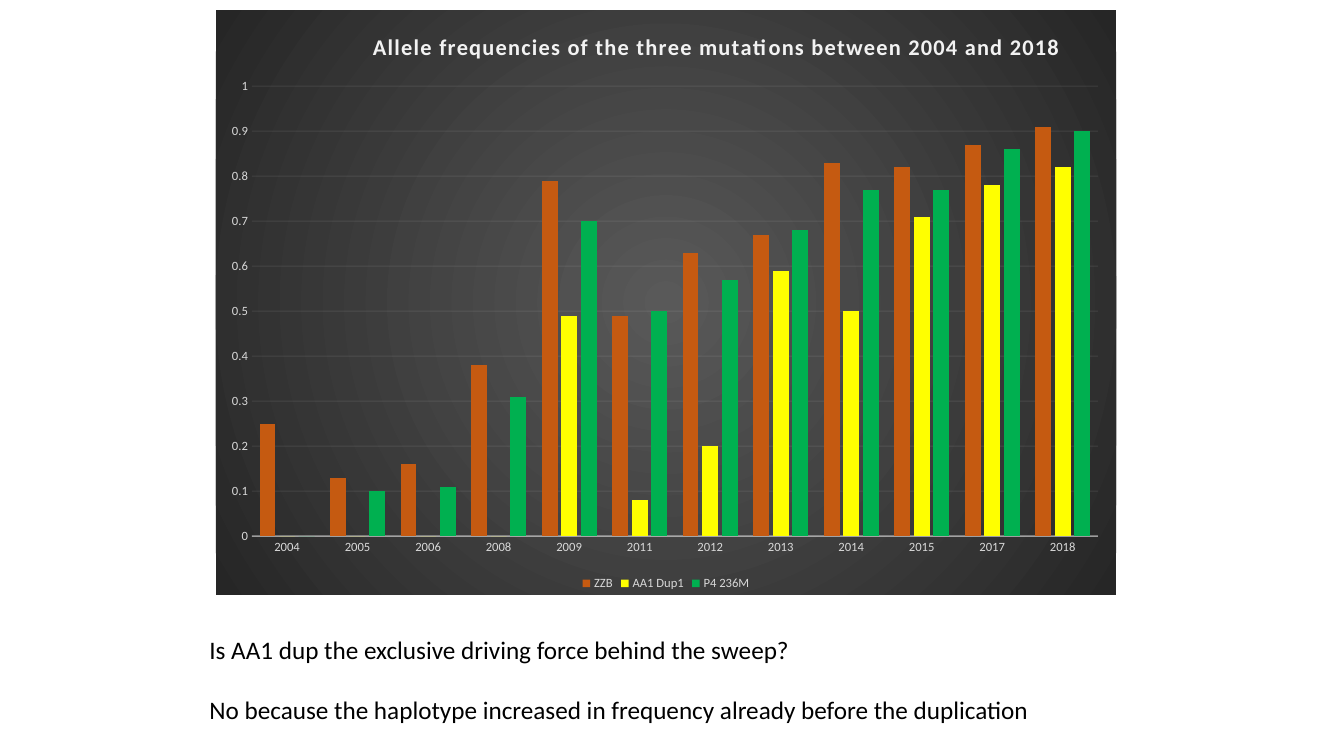
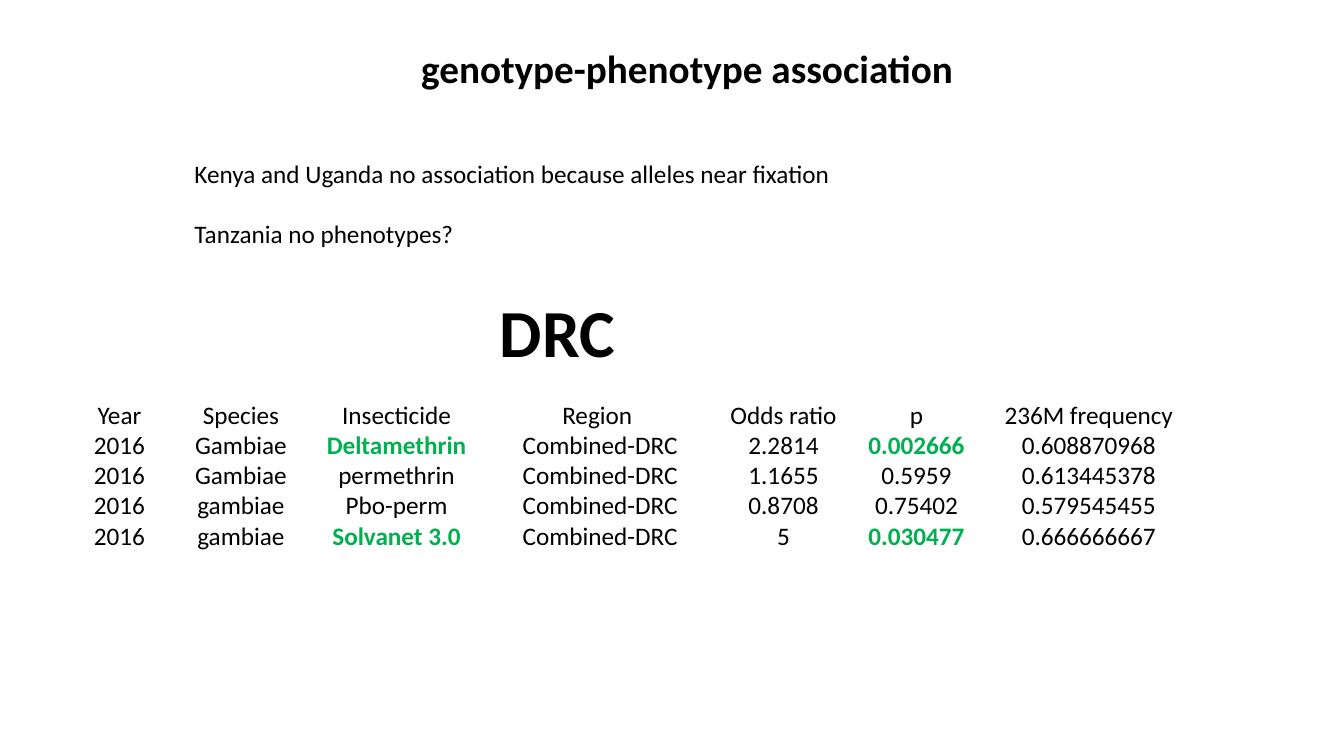
import dataclasses
import pptx
import pptx.chart.data
import pptx.dml.color
import pptx.enum.chart
import pptx.enum.text
import pptx.oxml
import pptx.oxml.ns
import pptx.util
import lxml.etree

Pt = pptx.util.Pt
qn = pptx.oxml.ns.qn

# Shared style
FONT = "Calibri"
HEX = {
    "ink": "000000", "pale": "F2F2F2", "label": "D9D9D9",
    "mid": "595959", "dark": "262626",
    "rust": "C55A11", "yellow": "FFFF00", "green": "00B050",
}
NS = pptx.oxml.ns.nsdecls("a", "c")


@dataclasses.dataclass
class Note:
    """A text box; its paragraphs stand one blank line apart."""
    left: float
    top: float
    width: float
    height: float
    lines: list[str]
    size: float = 18
    bold: bool = False


@dataclasses.dataclass
class Series:
    name: str
    color: str
    vals: list[float]


# Content
YEARS = ["2004", "2005", "2006", "2008", "2009", "2011",
         "2012", "2013", "2014", "2015", "2017", "2018"]
SERIES = [
    Series("ZZB", "rust", [0.25, 0.13, 0.16, 0.38, 0.79, 0.49,
                           0.63, 0.67, 0.83, 0.82, 0.87, 0.91]),
    Series("AA1 Dup1", "yellow", [0, 0, 0, 0, 0.49, 0.08,
                                  0.2, 0.59, 0.5, 0.71, 0.78, 0.82]),
    Series("P4 236M", "green", [0, 0.1, 0.11, 0.31, 0.7, 0.5,
                                0.57, 0.68, 0.77, 0.77, 0.86, 0.9]),
]
TITLE = "Allele frequencies of the three mutations between 2004 and 2018"
SWEEP = Note(142.5, 449.3, 654.5, 72.7, [
    "Is AA1 dup the exclusive driving force behind the sweep?",
    "No because the haplotype increased in frequency already before the duplication",
])
NOTES = [
    Note(293.8, 28, 437, 41, ["genotype-phenotype association"], 28, True),
    Note(131.8, 109.4, 752.4, 72.7, [
        "Kenya and Uganda no association because alleles near fixation",
        "Tanzania no phenotypes?",
    ]),
    Note(349.9, 203.8, 237.6, 65.5, ["DRC"], 48, True),
]
WIDTHS = [78.5, 95, 127.4, 163.4, 98.6, 91.4, 154.8]
ROWS = [
    ["Year", "Species", "Insecticide", "Region ", "Odds ratio", "p", "236M frequency"],
    ["2016", "Gambiae", "Deltamethrin", "Combined-DRC", "2.2814", "0.002666", "0.608870968"],
    ["2016", "Gambiae", "permethrin", "Combined-DRC", "1.1655", "0.5959", "0.613445378"],
    ["2016", "gambiae", "Pbo-perm", "Combined-DRC", "0.8708", "0.75402", "0.579545455"],
    ["2016", "gambiae", "Solvanet 3.0", "Combined-DRC", "5", "0.030477", "0.666666667"],
]
HITS = {(row, col) for row in (1, 4) for col in (2, 5)}


def rgb(name: str) -> pptx.dml.color.RGBColor:
    return pptx.dml.color.RGBColor.from_string(HEX[name])


def style(font, size: float, color: str = "ink", bold: bool = False) -> None:
    font.name, font.size, font.bold = FONT, Pt(size), bold
    font.color.rgb = rgb(color)


def add_run(para, text: str, size: float, color: str = "ink", bold: bool = False):
    run = para.add_run()
    run.text = text
    style(run.font, size, color, bold)
    return run


def add_note(slide, note: Note) -> None:
    box = slide.shapes.add_textbox(
        Pt(note.left), Pt(note.top), Pt(note.width), Pt(note.height))
    frame = box.text_frame
    frame.word_wrap = True
    frame.auto_size = pptx.enum.text.MSO_AUTO_SIZE.SHAPE_TO_FIT_TEXT
    for i, line in enumerate(note.lines):
        para = frame.paragraphs[0] if i == 0 else frame.add_paragraph()
        if i:
            para.space_before = Pt(note.size * 1.2)
        add_run(para, line, note.size, bold=note.bold)


# Chart parts
def set_line(line, width: float, alpha: int) -> None:
    line.width = Pt(width)
    line.color.rgb = rgb("pale")
    tone = line.fill._xPr.find(".//" + qn("a:srgbClr"))
    lxml.etree.SubElement(tone, qn("a:alpha"), val=str(alpha * 1000))


def place(part, **spots: float) -> None:
    """Fix a chart part at fractions of the chart's size."""
    old = part.find(qn("c:layout"))
    if old is not None:
        part.remove(old)
    inner = '<c:layoutTarget val="inner"/>' if "w" in spots else ""
    modes = '<c:xMode val="edge"/><c:yMode val="edge"/>'
    vals = "".join(f'<c:{key} val="{val}"/>' for key, val in spots.items())
    node = pptx.oxml.parse_xml(
        f"<c:layout {NS}><c:manualLayout>{inner}{modes}{vals}"
        "</c:manualLayout></c:layout>")
    text = part.find(qn("c:tx"))
    if text is not None:
        text.addnext(node)
    else:
        part.insert(0, node)


def add_glow(chart) -> None:
    """Fill the chart area with a round gradient."""
    stops = "".join(
        f'<a:gs pos="{pos}"><a:srgbClr val="{HEX[name]}"/></a:gs>'
        for pos, name in ((0, "mid"), (100000, "dark")))
    node = pptx.oxml.parse_xml(
        f'<c:spPr {NS}><a:gradFill><a:gsLst>{stops}</a:gsLst>'
        '<a:path path="circle"><a:fillToRect l="50000" t="50000" '
        'r="50000" b="50000"/></a:path></a:gradFill>'
        "<a:ln><a:noFill/></a:ln></c:spPr>")
    chart._chartSpace.find(qn("c:chart")).addnext(node)


def add_bars(slide) -> None:
    kinds = pptx.enum.chart
    data = pptx.chart.data.CategoryChartData()
    data.categories = YEARS
    for item in SERIES:
        data.add_series(item.name, item.vals)
    chart = slide.shapes.add_chart(
        kinds.XL_CHART_TYPE.COLUMN_CLUSTERED,
        Pt(154.2), Pt(7.2), Pt(643), Pt(417.6), data).chart
    style(chart.font, 10)
    add_glow(chart)

    # Title
    chart.has_title = True
    title = chart.chart_title
    run = add_run(title.text_frame.paragraphs[0], TITLE, 16, "pale", True)
    run.font._element.set("spc", "100")
    place(title._element, x=0.17, y=0.03)

    # Bars
    plot = chart.plots[0]
    plot.gap_width, plot.overlap = 100, -24
    plot.vary_by_categories = False
    for item, bars in zip(SERIES, plot.series):
        bars.format.fill.solid()
        bars.format.fill.fore_color.rgb = rgb(item.color)
        bars.invert_if_negative = False
    place(chart._chartSpace.find(".//" + qn("c:plotArea")),
          x=0.04, y=0.13, w=0.94, h=0.77)

    # Axes and legend
    cat, val = chart.category_axis, chart.value_axis
    for axis in (cat, val):
        axis.major_tick_mark = kinds.XL_TICK_MARK.NONE
        axis.minor_tick_mark = kinds.XL_TICK_MARK.NONE
        style(axis.tick_labels.font, 9, "label")
    set_line(cat.format.line, 1, 54)
    val.format.line.fill.background()
    val.minimum_scale, val.maximum_scale, val.major_unit = 0, 1, 0.1
    val.tick_labels.number_format = "General"
    val.tick_labels.number_format_is_linked = False
    set_line(val.major_gridlines.format.line, 0.75, 10)
    chart.has_legend = True
    chart.legend.position = kinds.XL_LEGEND_POSITION.BOTTOM
    chart.legend.include_in_layout = False
    style(chart.legend.font, 9, "label")


def add_grid(slide) -> None:
    high = 21.6
    table = slide.shapes.add_table(
        len(ROWS), len(WIDTHS), Pt(46.1), Pt(285.8),
        Pt(sum(WIDTHS)), Pt(high * len(ROWS))).table
    table.first_row = table.horz_banding = False
    for col, width in zip(table.columns, WIDTHS):
        col.width = Pt(width)
    for r, texts in enumerate(ROWS):
        table.rows[r].height = Pt(high)
        for c, text in enumerate(texts):
            cell = table.cell(r, c)
            cell.fill.background()
            cell.margin_left = cell.margin_right = 0
            cell.margin_top = cell.margin_bottom = 0
            cell.vertical_anchor = pptx.enum.text.MSO_ANCHOR.BOTTOM
            para = cell.text_frame.paragraphs[0]
            para.alignment = pptx.enum.text.PP_ALIGN.CENTER
            hit = (r, c) in HITS
            add_run(para, text, 18, "green" if hit else "ink", hit)


def main() -> None:
    deck = pptx.Presentation()
    deck.slide_width, deck.slide_height = Pt(960), Pt(540)
    blank = deck.slide_layouts[6]

    # Slide 1: frequencies by year
    slide = deck.slides.add_slide(blank)
    add_bars(slide)
    add_note(slide, SWEEP)

    # Slide 2: association table
    slide = deck.slides.add_slide(blank)
    add_grid(slide)
    for note in NOTES:
        add_note(slide, note)

    deck.save("out.pptx")


if __name__ == "__main__":
    main()
